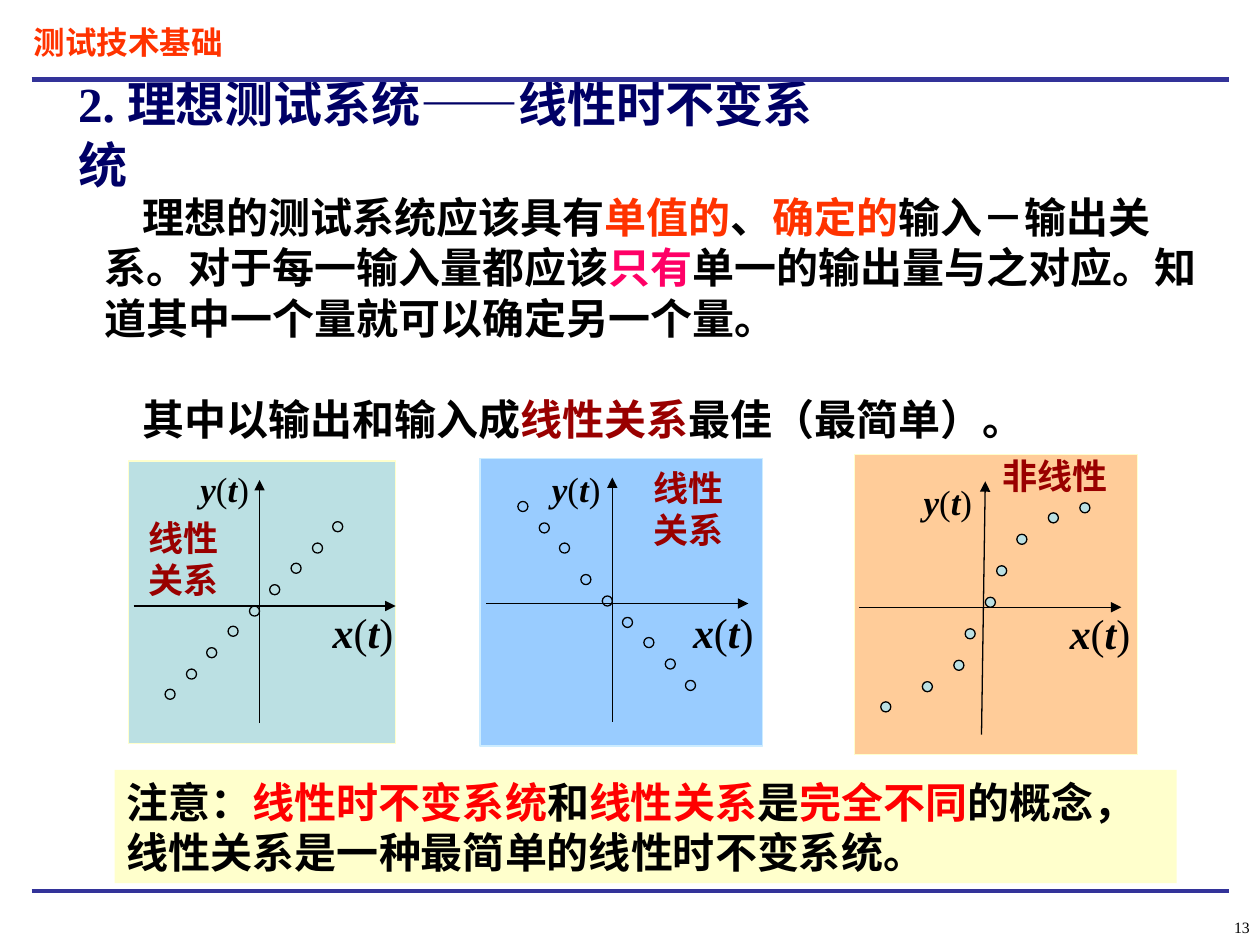
from lxml import etree
from pptx import Presentation
from pptx import util as u
from pptx.dml.color import RGBColor
from pptx.enum import shapes, text
from pptx.oxml.ns import qn

BLACK = RGBColor(0x00, 0x00, 0x00)
NAVY = RGBColor(0x00, 0x00, 0x66)
RULE_BLUE = RGBColor(0x33, 0x33, 0x99)
ORANGE = RGBColor(0xFF, 0x33, 0x00)
PINK = RGBColor(0xFF, 0x00, 0x66)
RED = RGBColor(0xFF, 0x00, 0x00)
MAROON = RGBColor(0x99, 0x00, 0x00)
TEAL = RGBColor(0xBB, 0xE0, 0xE3)
SKY = RGBColor(0x99, 0xCC, 0xFF)
PALE_SKY = RGBColor(0xCC, 0xEC, 0xFF)
PEACH = RGBColor(0xFF, 0xCC, 0x99)
CREAM = RGBColor(0xFF, 0xFF, 0xCC)
SERIF = "Times New Roman"
SANS = "Noto Sans CJK SC"

COURSE = [["测试技术基础"]]
HEADING = [["2. 理想测试系统——线性时不变系统"]]
EXPLANATION = [
    ["理想的测试系统应该具有", ("单值的", ORANGE), "、", ("确定的", ORANGE),
     "输入－输出关系。对于每一输入量都应该", ("只有", PINK),
     "单一的输出量与之对应。知道其中一个量就可以确定另一个量。"],
    ["其中以输出和输入成", ("线性关系", MAROON), "最佳（最简单）。"],
]
CAUTION = [["注意：", ("线性时不变系统", RED), "和", ("线性关系", RED), "是",
            ("完全不同", RED), "的概念，线性关系是一种最简单的线性时不变系统。"]]

DOT = 0.08
DOT_STEP = 1 / 12
PLOTS = [
    dict(panel=(1.02, 3.66, 2.12, 2.24), fill=TEAL, edge=CREAM, dot_fill=TEAL,
         x_axis=(1.06, 4.81, 3.14, 4.81), y_axis=(2.06, 5.74, 2.06, 3.81),
         x_name=(2.64, 4.81), y_name=(1.59, 3.71),
         label=[["线性关系"]], label_box=(1.08, 4.05, 0.9, 0.77), label_wrap=True,
         origin=(1.31, 4.14),
         dots=[(step, 16 - step) for step in range(0, 17, 2)]),
    dict(panel=(3.81, 3.64, 2.24, 2.28), fill=SKY, edge=PALE_SKY, dot_fill=SKY,
         x_axis=(3.86, 4.79, 5.94, 4.79), y_axis=(4.86, 5.73, 4.86, 3.79),
         x_name=(5.5, 4.81), y_name=(4.38, 3.71),
         label=[["线性"], ["关系"]], label_box=(5.09, 3.65, 0.75, 0.77), label_wrap=False,
         origin=(4.11, 3.98),
         dots=list(zip(range(0, 17, 2), (0, 2, 4, 7, 9, 11, 13, 15, 17)))),
    dict(panel=(6.78, 3.61, 2.25, 2.38), fill=PEACH, edge=CREAM, dot_fill=TEAL,
         x_axis=(6.82, 4.82, 8.9, 4.82), y_axis=(7.79, 5.83, 7.82, 3.82),
         x_name=(8.49, 4.82), y_name=(7.33, 3.81),
         label=[["非线性"]], label_box=(7.86, 3.56, 1.14, 0.44), label_wrap=True,
         origin=(6.99, 3.99),
         dots=[(0, 19), (4, 17), (7, 15), (8, 12), (10, 9), (11, 6),
               (13, 3), (16, 1), (19, 0)]),
]


def inches(values):
    return [u.Inches(round(value, 2)) for value in values]


def write(holder, paragraphs, size, color=BLACK, font=SERIF, bold=True,
          inset=(0.1, 0.05), anchor=text.MSO_ANCHOR.TOP, align=text.PP_ALIGN.LEFT,
          wrap=True, pitch=None, indent=0, gap=0, math=False):
    frame = holder.text_frame
    frame.auto_size = text.MSO_AUTO_SIZE.NONE
    frame.word_wrap = wrap
    frame.vertical_anchor = anchor
    frame.margin_left = frame.margin_right = u.Inches(inset[0])
    frame.margin_top = frame.margin_bottom = u.Inches(inset[1])
    for index, parts in enumerate(paragraphs):
        paragraph = frame.add_paragraph() if index else frame.paragraphs[0]
        properties = paragraph._p.get_or_add_pPr()
        properties.set("marL", "0")
        properties.set("indent", str(u.Inches(indent)))
        properties.set("hangingPunct", "0")
        etree.SubElement(properties, qn("a:buNone"))
        paragraph.alignment = align
        paragraph.space_before = u.Pt(gap if index else 0)
        if pitch:
            paragraph.line_spacing = u.Pt(pitch)
        for part in parts:
            words, tint = part if isinstance(part, tuple) else (part, color)
            run = paragraph.add_run()
            run.text = words
            run.font.size = u.Pt(size)
            run.font.name = font
            run.font.color.rgb = tint
            run.font.bold = words.isalpha() if math else bold
            run.font.italic = math and words.isalpha()
            east_asian = etree.SubElement(run._r.get_or_add_rPr(), qn("a:ea"))
            east_asian.set("typeface", SANS)


def add_text(slide, box, paragraphs, **style):
    write(slide.shapes.add_textbox(*inches(box)), paragraphs, **style)


def add_figure(slide, kind, box, fill, edge=None):
    figure = slide.shapes.add_shape(kind, *inches(box))
    figure.shadow.inherit = False
    figure.fill.solid()
    figure.fill.fore_color.rgb = fill
    if edge is None:
        figure.line.fill.background()
    else:
        figure.line.color.rgb = edge
        figure.line.width = u.Pt(0.75)
    return figure


def add_line(slide, ends, color=BLACK, width=0.75, arrow=False):
    line = slide.shapes.add_connector(shapes.MSO_CONNECTOR.STRAIGHT, *inches(ends))
    line.line.color.rgb = color
    line.line.width = u.Pt(width)
    if arrow:
        etree.SubElement(line.line._get_or_add_ln(), qn("a:tailEnd")).set("type", "triangle")
    etree.SubElement(line._element.spPr, qn("a:effectLst"))


def add_plot(slide, plot):
    rectangle, oval = shapes.MSO_SHAPE.RECTANGLE, shapes.MSO_SHAPE.OVAL
    add_figure(slide, rectangle, plot["panel"], plot["fill"], plot["edge"])
    left, top = plot["origin"]
    for column, row in plot["dots"]:
        spot = (left + column * DOT_STEP, top + row * DOT_STEP, DOT, DOT)
        add_figure(slide, oval, spot, plot["dot_fill"], BLACK)
    for axis in ("x_axis", "y_axis"):
        add_line(slide, plot[axis], arrow=True)
    add_text(slide, plot["label_box"], plot["label"], size=20, color=MAROON, pitch=24,
             wrap=plot["label_wrap"])
    for name, size, extent in (("x", 24, (0.52, 0.4)), ("y", 20, (0.43, 0.33))):
        add_text(slide, plot[name + "_name"] + extent, [[name, "(", "t", ")"]],
                 size=size, inset=(0, 0), wrap=False, math=True)


def place(holder, box):
    holder.left, holder.top, holder.width, holder.height = inches(box)


def main():
    deck = Presentation()
    deck.slide_width, deck.slide_height = inches((10, 7.5))
    slide = deck.slides.add_slide(deck.slide_layouts[1])
    heading, explanation = slide.placeholders

    for height, width in ((7.07, 2.25), (0.63, 3)):
        add_line(slide, (0.25, height, 9.75, height), RULE_BLUE, width)
    add_text(slide, (0.17, 0.13, 2.92, 0.4), COURSE, size=18, color=ORANGE, pitch=22)
    add_text(slide, (9, 7.11, 1, 0.5), [["13"]], size=9, bold=False, inset=(0.08, 0.04),
             anchor=text.MSO_ANCHOR.MIDDLE, align=text.PP_ALIGN.RIGHT)

    place(heading, (0.52, 0.75, 6.4, 0.6))
    write(heading, HEADING, size=28, color=NAVY, pitch=35, anchor=text.MSO_ANCHOR.MIDDLE)
    place(explanation, (0.73, 1.47, 8.91, 2.1))
    write(explanation, EXPLANATION, size=24, font=SANS, pitch=28.8, indent=0.3, gap=28.8)

    for plot in PLOTS:
        add_plot(slide, plot)

    caution = add_figure(slide, shapes.MSO_SHAPE.RECTANGLE, (0.91, 6.11, 8.43, 0.9), CREAM)
    write(caution, CAUTION, size=24, font=SANS, pitch=28.8)
    deck.save("out.pptx")


if __name__ == "__main__":
    main()
